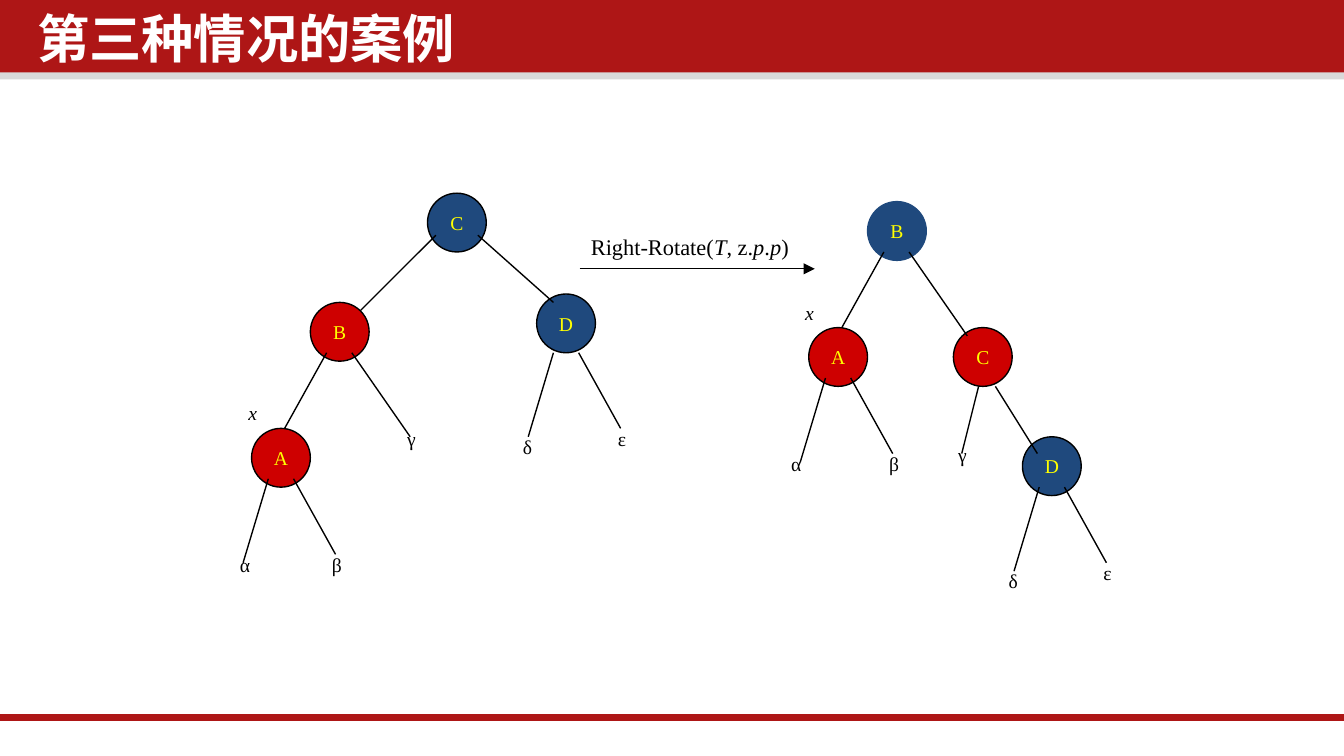
"""Build the slide on the third case: a right rotation between two trees."""
from lxml import etree
from pptx import Presentation
from pptx.dml import color
from pptx.enum import shapes, text
from pptx.oxml import ns
from pptx.util import Pt

WHITE = color.RGBColor(0xFF, 0xFF, 0xFF)
BLACK = color.RGBColor(0, 0, 0)
BRICK = color.RGBColor(0xAE, 0x16, 0x16)
GREY = color.RGBColor(0xD9, 0xD9, 0xD9)
RED = color.RGBColor(0xCE, 0, 0)
BLUE = color.RGBColor(0x1F, 0x49, 0x7D)
YELLOW = color.RGBColor(0xFF, 0xFF, 0)
SERIF = {"name": "Times New Roman", "size": Pt(10.5)}
SIZE = 31.5


def write(box, runs, tint, style, wrap=False):
    frame = box.text_frame
    frame.word_wrap = wrap
    para = frame.paragraphs[0]
    for words, slant in runs:
        run = para.add_run()
        run.text = words
        for key, value in style.items():
            setattr(run.font, key, value)
        run.font.color.rgb = tint
        if slant:
            run.font.italic = True
    return para


def link(x1, y1, x2, y2, tint=BLACK, width=0.75):
    line = slide.shapes.add_connector(
        shapes.MSO_CONNECTOR.STRAIGHT, Pt(x1), Pt(y1), Pt(x2), Pt(y2))
    line.line.color.rgb = tint
    line.line.width = Pt(width)
    etree.SubElement(line._element.spPr, ns.qn("a:effectLst"))
    return line


deck = Presentation()
deck.slide_width, deck.slide_height = Pt(720), Pt(405)
slide = deck.slides.add_slide(deck.slide_layouts[6])

for top, height, tint in [(36, 6.5, GREY), (0, 38.75, BRICK)]:
    bar = slide.shapes.add_shape(
        shapes.MSO_SHAPE.RECTANGLE, 0, Pt(top), Pt(720), Pt(height))
    bar.shadow.inherit = False
    bar.fill.solid()
    bar.fill.fore_color.rgb = tint
    bar.line.fill.background()
link(-1.5, 384.5, 720, 384.5, BRICK, 4)

nodes = [
    ("A", 134.75, 229.5, RED, BLACK),
    ("C", 229, 103.5, BLUE, BLACK),
    ("B", 166.25, 162, RED, BLACK),
    ("D", 287.5, 157.5, BLUE, BLACK),
    ("A", 433.25, 175.5, RED, BLACK),
    ("C", 510.75, 175.5, RED, BLACK),
    ("B", 464.75, 108, BLUE, BLUE),
    ("D", 547.75, 234, BLUE, BLACK),
]
for name, left, top, tint, edge in nodes:
    node = slide.shapes.add_shape(
        shapes.MSO_SHAPE.OVAL, Pt(left), Pt(top), Pt(SIZE), Pt(SIZE))
    node.shadow.inherit = False
    node.fill.solid()
    node.fill.fore_color.rgb = tint
    node.line.color.rgb = edge
    node.line.width = Pt(0.75)
    node.text_frame.vertical_anchor = text.MSO_ANCHOR.MIDDLE
    para = write(node, [(name, False)], YELLOW, SERIF)
    para.alignment = text.PP_ALIGN.CENTER

edges = [
    (233.5, 126, 193, 166.5), (256, 126, 296.5, 162),
    (175, 189, 152.5, 229.5), (188.5, 189, 219.75, 234),
    (310, 189, 332.5, 229.5), (296.5, 189, 283, 234),
    (157.25, 256.5, 179.75, 297), (143.75, 256.5, 130.25, 301.5),
    (473.5, 135, 451, 175.5), (487, 135, 518.25, 180),
    (570.25, 261, 592.75, 301.5), (556.75, 261, 543.25, 306),
    (455.75, 202.5, 478.25, 243), (442.25, 202.5, 428.75, 247.5),
    (533.25, 207, 555.75, 243), (524.25, 207, 515.25, 243),
]
for ends in edges:
    link(*ends)

labels = [
    ("α", 121.5, 292.5), ("β", 170.75, 292.5), ("x", 126, 211.5),
    ("γ", 211, 225), ("δ", 273, 229.5), ("ε", 324, 225),
    ("β", 469.25, 238.5), ("x", 424.25, 157.5), ("γ", 506.25, 234),
    ("δ", 533.25, 301.5), ("ε", 584, 297), ("α", 416.75, 238.5),
]
for name, left, top in labels:
    tag = slide.shapes.add_textbox(Pt(left), Pt(top), Pt(20), Pt(20))
    write(tag, [(name, name == "x")], BLACK, SERIF)

call = slide.shapes.add_textbox(Pt(309.5), Pt(121.5), Pt(121.5), Pt(21.5))
parts = [("Right-Rotate(", False), ("T", True), (", z.", False),
         ("p", True), (".", False), ("p", True), (")", False)]
write(call, parts, BLACK, {**SERIF, "size": Pt(12)})
arrow = link(310.5, 144, 436.5, 144)
etree.SubElement(arrow.line._get_or_add_ln(), ns.qn("a:tailEnd"), type="triangle")

title = slide.shapes.add_textbox(Pt(15), Pt(4.25), Pt(550), Pt(42.5))
pads = {"margin_left": 5, "margin_right": 5, "margin_top": 3, "margin_bottom": 3}
for key, value in pads.items():
    setattr(title.text_frame, key, Pt(value))
bold = {"name": "Noto Sans CJK SC", "size": Pt(28), "bold": True}
para = write(title, [("第三种情况的案例", False)], WHITE, bold, True)
para.line_spacing = 0.9
etree.SubElement(para.runs[0]._r.get_or_add_rPr(), ns.qn("a:ea"),
                 typeface="Noto Sans CJK SC")

deck.save("out.pptx")
